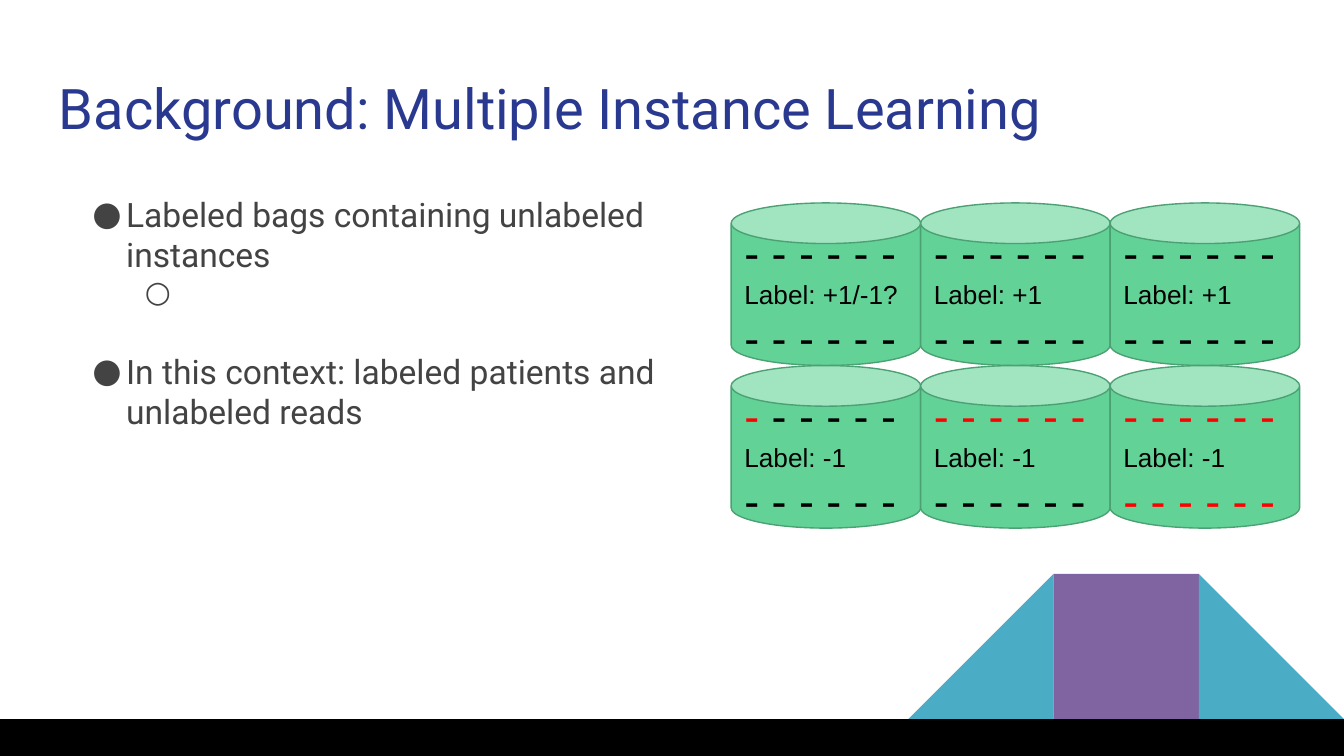
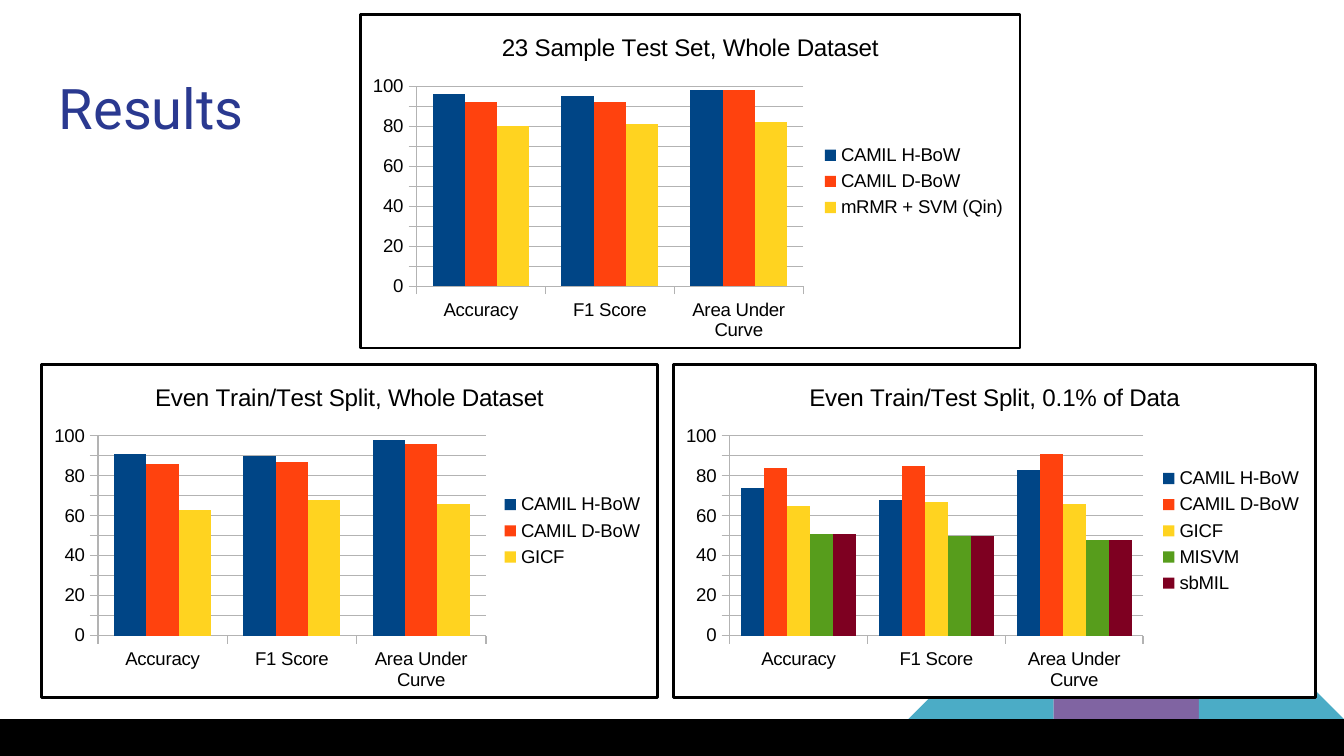
from lxml import etree
from pptx import Presentation
from pptx.chart.data import CategoryChartData
from pptx.dml.color import RGBColor
from pptx.enum.chart import XL_CHART_TYPE, XL_LEGEND_POSITION, XL_TICK_MARK
from pptx.enum.shapes import MSO_SHAPE
from pptx.enum.text import MSO_ANCHOR, PP_ALIGN
from pptx.oxml import parse_xml
from pptx.oxml.ns import nsdecls, qn
from pptx.util import Inches, Pt

CLUSTERED = XL_CHART_TYPE.COLUMN_CLUSTERED
LEGEND_RIGHT = XL_LEGEND_POSITION.RIGHT
TICK_OUTSIDE = XL_TICK_MARK.OUTSIDE
RECTANGLE = MSO_SHAPE.RECTANGLE
TRIANGLE = MSO_SHAPE.RIGHT_TRIANGLE
CAN = MSO_SHAPE.CAN
TOP, MIDDLE = MSO_ANCHOR.TOP, MSO_ANCHOR.MIDDLE
LEFT = PP_ALIGN.LEFT

WIDTH = 10
HEIGHT = WIDTH * 9 / 16
MARGIN = 0.34
FOOTER_TOP = 5.35
TILE = 1.08
HEADING_FONT, PLAIN_FONT = "Roboto", "Arial"
WHITE, BLACK, RED = "FFFFFF", "000000", "FF0000"
NAVY, GRAPHITE, GRID_GRAY = "2A3990", "434343", "B3B3B3"
TEAL, PURPLE = "4BACC6", "8064A2"
CAN_FILL, CAN_LINE = "63D297", "4BA173"
SERIES_COLORS = ["004586", "FF420E", "FFD320", "579D1C", "7E0021"]

MEASURES = ["Accuracy", "F1 Score", "Area Under Curve"]
DASH = "- - - - - -"


def color(value):
    return RGBColor.from_string(value)


def style_font(font, size, fill=BLACK, name=PLAIN_FONT):
    font.size = Pt(size)
    font.name = name
    font.bold = False
    font.color.rgb = color(fill)


def write(paragraph, text, **font_format):
    run = paragraph.add_run()
    run.text = text
    style_font(run.font, **font_format)


def prepare_frame(shape, anchor=TOP):
    frame = shape.text_frame
    frame.word_wrap = True
    frame.vertical_anchor = anchor
    frame.margin_left = frame.margin_right = Inches(0.1)
    frame.margin_top = frame.margin_bottom = Inches(0.1)
    return frame


def add_text_box(slide, left, top, width, height):
    box = slide.shapes.add_textbox(*map(Inches, (left, top, width, height)))
    return prepare_frame(box)


def next_paragraph(frame, index):
    paragraph = frame.add_paragraph() if index else frame.paragraphs[0]
    paragraph.alignment = LEFT
    return paragraph


def add_block(slide, kind, left, top, width, height, fill, line=None):
    shape = slide.shapes.add_shape(kind, *map(Inches, (left, top, width, height)))
    shape.shadow.inherit = False
    shape.fill.solid()
    shape.fill.fore_color.rgb = color(fill)
    if line:
        shape.line.color.rgb = color(line)
        shape.line.width = Pt(0.74)
    else:
        shape.line.fill.background()
    return shape


def add_bullet(paragraph, character, left, hanging):
    properties = paragraph._p.get_or_add_pPr()
    properties.set("marL", str(Inches(left)))
    properties.set("indent", str(-Inches(hanging)))
    bullet_color = etree.SubElement(properties, qn("a:buClr"))
    etree.SubElement(bullet_color, qn("a:srgbClr"), val=GRAPHITE)
    etree.SubElement(properties, qn("a:buFont"), typeface=HEADING_FONT)
    etree.SubElement(properties, qn("a:buChar"), char=character)


def add_slide(presentation, title):
    slide = presentation.slides.add_slide(presentation.slide_layouts[6])
    tile_top = FOOTER_TOP - TILE
    tiles = [(TRIANGLE, TEAL), (RECTANGLE, PURPLE), (TRIANGLE, TEAL)]
    for position, (kind, fill) in enumerate(tiles):
        left = WIDTH - TILE * (len(tiles) - position)
        tile = add_block(slide, kind, left, tile_top, TILE, TILE, fill)
        if position == 0:
            tile._element.spPr.xfrm.set("flipH", "1")
    add_block(slide, RECTANGLE, 0, FOOTER_TOP, WIDTH, HEIGHT - FOOTER_TOP, BLACK)
    frame = add_text_box(slide, MARGIN, 0.45, WIDTH - 2 * MARGIN, 0.66)
    write(frame.paragraphs[0], title, size=30, fill=NAVY, name=HEADING_FONT)
    return slide


def add_bullets(slide, items):
    frame = add_text_box(slide, MARGIN, 1.34, 4.67, 3.65)
    for index, (text, level, gap) in enumerate(items):
        paragraph = next_paragraph(frame, index)
        paragraph.level = level
        paragraph.space_before = Pt(gap)
        if level:
            add_bullet(paragraph, "○", 1, 0.36)
        else:
            add_bullet(paragraph, "●", 0.5, 0.25)
        write(paragraph, text, size=16 if level else 18, fill=GRAPHITE,
              name=HEADING_FONT)


def add_bag(slide, column, row, label, red_above, red_below):
    width, height = 1.41, 1.21
    left = 5.44 + width * column
    top = 1.51 + height * row
    bag = add_block(slide, CAN, left, top, width, height, CAN_FILL, CAN_LINE)
    frame = prepare_frame(bag, MIDDLE)
    for index, red_count in enumerate((red_above, red_below)):
        paragraph = next_paragraph(frame, index)
        dashes = DASH if index else DASH + " "
        for part, fill in ((dashes[:red_count], RED), (dashes[red_count:], BLACK)):
            if part:
                write(paragraph, part, size=24, fill=fill)
        if index == 0:
            write(paragraph, label, size=14)


def set_plot_area(chart, left, width):
    plot_area = chart._chartSpace.chart.plotArea
    for layout in plot_area.findall(qn("c:layout")):
        plot_area.remove(layout)
    layout = etree.Element(qn("c:layout"))
    manual = etree.SubElement(layout, qn("c:manualLayout"))
    settings = [("layoutTarget", "inner"), ("xMode", "edge"), ("yMode", "edge"),
                ("x", left), ("y", 0.215), ("w", width), ("h", 0.6)]
    for name, value in settings:
        etree.SubElement(manual, qn("c:" + name), val=str(value))
    plot_area.insert(0, layout)


def set_chart_frame(chart):
    chart._chartSpace.chart.addnext(parse_xml(
        f'<c:spPr {nsdecls("c", "a")}>'
        f'<a:solidFill><a:srgbClr val="{WHITE}"/></a:solidFill>'
        f'<a:ln w="{Pt(1.45)}"><a:solidFill><a:srgbClr val="{BLACK}"/>'
        '</a:solidFill></a:ln></c:spPr>'))


def style_line(line):
    line.color.rgb = color(GRID_GRAY)
    line.width = Pt(0.75)


def style_axes(chart):
    for axis in (chart.category_axis, chart.value_axis):
        axis.major_tick_mark = TICK_OUTSIDE
        style_font(axis.tick_labels.font, 10)
        style_line(axis.format.line)
        axis.tick_labels.number_format = "General"
        axis.tick_labels.number_format_is_linked = False
    scale = chart.value_axis
    scale.minimum_scale, scale.maximum_scale = 0, 100
    scale.major_unit = 10
    scale.has_major_gridlines = True
    style_line(scale.major_gridlines.format.line)


def add_result_chart(slide, left, top, width, title, plot_width, results):
    data = CategoryChartData()
    data.categories = MEASURES
    for name, values in results.items():
        data.add_series(name, values)
    chart = slide.shapes.add_chart(
        CLUSTERED, *map(Inches, (left, top, width, 2.5)), data).chart
    style_font(chart.font, 10)
    chart.has_title = True
    write(chart.chart_title.text_frame.paragraphs[0], title, size=13)
    chart.has_legend = True
    chart.legend.position = LEGEND_RIGHT
    chart.legend.include_in_layout = False
    style_font(chart.legend.font, 10)
    style_axes(chart)
    plot = chart.plots[0]
    plot.gap_width = 100
    plot.overlap = 0
    plot.vary_by_categories = False
    for series, fill in zip(plot.series, SERIES_COLORS):
        series.format.fill.solid()
        series.format.fill.fore_color.rgb = color(fill)
    set_plot_area(chart, 0.42 / width, plot_width / width)
    set_chart_frame(chart)


def build_background(presentation):
    slide = add_slide(presentation, "Background: Multiple Instance Learning")
    add_bullets(slide, [
        ("Labeled bags containing unlabeled instances", 0, 0),
        (" ", 1, 0),
        ("In this context: labeled patients and unlabeled reads", 0, 22),
    ])
    everything = len(DASH)
    bags = [
        [("Label: +1/-1?", 0, 0), ("Label: +1 ", 0, 0), ("Label: +1 ", 0, 0)],
        [("Label: -1 ", 1, 0), ("Label: -1 ", everything, 0),
         ("Label: -1 ", everything, everything)],
    ]
    for row, row_bags in enumerate(bags):
        for column, bag in enumerate(row_bags):
            add_bag(slide, column, row, *bag)


def build_results(presentation):
    slide = add_slide(presentation, "Results")
    add_result_chart(slide, 0.3, 2.7, 4.6, "Even Train/Test Split, Whole Dataset", 2.9, {
        "CAMIL H-BoW": (91, 90, 98),
        "CAMIL D-BoW": (86, 87, 96),
        "GICF": (63, 68, 66),
    })
    add_result_chart(slide, 5, 2.7, 4.8, "Even Train/Test Split, 0.1% of Data", 3.09, {
        "CAMIL H-BoW": (74, 68, 83),
        "CAMIL D-BoW": (84, 85, 91),
        "GICF": (65, 67, 66),
        "MISVM": (51, 50, 48),
        "sbMIL": (51, 50, 48),
    })
    add_result_chart(slide, 2.67, 0.1, 4.93, "23 Sample Test Set, Whole Dataset", 2.89, {
        "CAMIL H-BoW": (96, 95, 98),
        "CAMIL D-BoW": (92, 92, 98),
        "mRMR + SVM (Qin)": (80, 81, 82),
    })


def main():
    presentation = Presentation()
    presentation.slide_width = Inches(WIDTH)
    presentation.slide_height = Inches(HEIGHT)
    build_background(presentation)
    build_results(presentation)
    presentation.save("out.pptx")


main()
